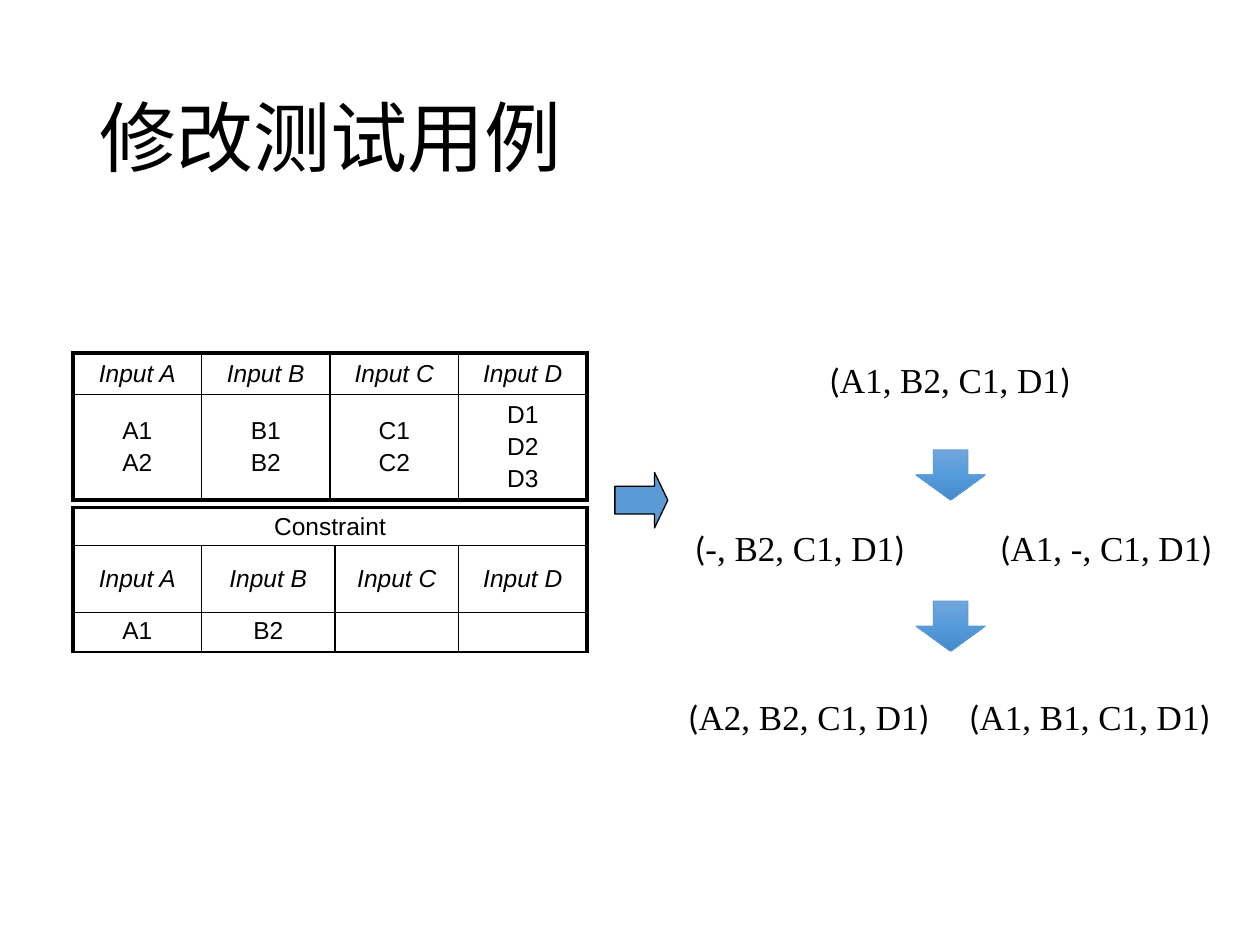
from copy import deepcopy
from dataclasses import dataclass

from lxml import etree
from pptx import Presentation
from pptx import util as u
from pptx.dml.color import RGBColor
from pptx.enum import shapes, text
from pptx.oxml import ns


@dataclass(frozen=True)
class Theme:
    black: str = "000000"
    blue: str = "5B9BD5"
    gradient: tuple = ("71A6DB", "559BDB", "448ACA")
    title_font: str = "Calibri"
    table_font: str = "Arial"
    tuple_font: str = "Times New Roman"
    title_size: float = 44
    table_size: float = 14
    tuple_size: float = 20
    thick: float = 2.25
    thin: float = 1


THEME = Theme()
HEADINGS = ["Input A", "Input B", "Input C", "Input D"]


def inches(box):
    return [u.Inches(value) for value in box]


def apply(target, **values):
    for name, value in values.items():
        setattr(target, name, value)


def add_run(paragraph, words, font, size, italic=False):
    run = paragraph.add_run()
    run.text = words
    apply(run.font, name=font, size=u.Pt(size), italic=italic)
    run.font.color.rgb = RGBColor.from_string(THEME.black)


def add_title(slide, box, words):
    title = slide.shapes.title
    apply(title, **dict(zip(("left", "top", "width", "height"), inches(box))))
    apply(title.text_frame, vertical_anchor=text.MSO_ANCHOR.MIDDLE, word_wrap=True)
    paragraph = title.text_frame.paragraphs[0]
    apply(paragraph, alignment=text.PP_ALIGN.LEFT, line_spacing=0.9)
    add_run(paragraph, words, THEME.title_font, THEME.title_size)


def set_borders(cell, widths):
    properties = cell._tc.get_or_add_tcPr()
    for side in ("L", "R", "T", "B"):
        line = etree.SubElement(properties, ns.qn(f"a:ln{side}"), w=str(u.Pt(widths[side])))
        fill = etree.SubElement(line, ns.qn("a:solidFill"))
        etree.SubElement(fill, ns.qn("a:srgbClr"), val=THEME.black)


def fill_cell(cell, words, anchor):
    apply(cell, vertical_anchor=anchor,
          margin_left=u.Inches(0.1), margin_right=u.Inches(0.1),
          margin_top=u.Inches(0.04), margin_bottom=u.Inches(0.04))
    cell.fill.background()
    for index, line in enumerate(words.split("\n")):
        frame = cell.text_frame
        paragraph = frame.add_paragraph() if index else frame.paragraphs[0]
        paragraph.alignment = text.PP_ALIGN.CENTER
        if index:
            paragraph.space_before = u.Pt(2.5)
        if line:
            add_run(paragraph, line, THEME.table_font, THEME.table_size, line in HEADINGS)
        else:
            ending = paragraph._p.get_or_add_endParaRPr()
            ending.set("sz", str(int(THEME.table_size * 100)))


def add_grid(slide, box, widths, heights, rows, bottom, merged_row=None, top_row=None):
    table = slide.shapes.add_table(len(rows), len(widths), *inches(box)).table
    apply(table, first_row=False, horz_banding=False)
    for column, width in zip(table.columns, widths):
        column.width = u.Inches(width)
    for row, height in zip(table.rows, heights):
        row.height = u.Inches(height)
    if merged_row is not None:
        table.cell(merged_row, 0).merge(table.cell(merged_row, len(widths) - 1))
    for row, words in enumerate(rows):
        anchor = text.MSO_ANCHOR.TOP if row == top_row else text.MSO_ANCHOR.MIDDLE
        for column, content in enumerate(words):
            cell = table.cell(row, column)
            span = cell.span_width if cell.is_merge_origin else 1
            set_borders(cell, {
                "L": THEME.thin if column else THEME.thick,
                "R": THEME.thick if column + span == len(widths) else THEME.thin,
                "T": THEME.thin if row else THEME.thick,
                "B": bottom if row == len(rows) - 1 else THEME.thin,
            })
            fill_cell(cell, content, anchor)


def add_arrow(slide, box, kind, line_color, line_width):
    arrow = slide.shapes.add_shape(kind, *inches(box))
    arrow.shadow.inherit = False
    arrow.line.color.rgb = RGBColor.from_string(line_color)
    arrow.line.width = u.Pt(line_width)
    return arrow


def add_right_arrow(slide, box):
    arrow = add_arrow(slide, box, shapes.MSO_SHAPE.RIGHT_ARROW, THEME.black, 0.75)
    arrow.adjustments[1] = 0.25
    arrow.fill.solid()
    arrow.fill.fore_color.rgb = RGBColor.from_string(THEME.blue)


def add_down_arrow(slide, box):
    arrow = add_arrow(slide, box, shapes.MSO_SHAPE.DOWN_ARROW, THEME.blue, 0.5)
    arrow.fill.gradient()
    arrow.fill.gradient_angle = 270
    stop_list = arrow._element.spPr.find(".//" + ns.qn("a:gsLst"))
    stop_list.append(deepcopy(stop_list[0]))
    for index, stop in enumerate(arrow.fill.gradient_stops):
        stop.position = index / 2
        stop.color.rgb = RGBColor.from_string(THEME.gradient[index])


def add_tuples(slide, box, rows):
    frame = slide.shapes.add_textbox(*inches(box)).text_frame
    frame.word_wrap = True
    for index, (tuples, centers) in enumerate(rows):
        paragraph = frame.add_paragraph() if index else frame.paragraphs[0]
        paragraph.alignment = text.PP_ALIGN.LEFT if centers else text.PP_ALIGN.CENTER
        if index:
            paragraph.space_before = u.Pt(72)
        if centers:
            tabs = etree.SubElement(paragraph._p.get_or_add_pPr(), ns.qn("a:tabLst"))
            for center in centers:
                etree.SubElement(tabs, ns.qn("a:tab"), pos=str(u.Inches(center)), algn="ctr")
        for values in tuples:
            opening = "\t(" if centers else "("
            add_run(paragraph, opening, THEME.title_font, THEME.tuple_size)
            add_run(paragraph, values, THEME.tuple_font, THEME.tuple_size)
            add_run(paragraph, ")", THEME.title_font, THEME.tuple_size)


def main():
    presentation = Presentation()
    apply(presentation, slide_width=u.Inches(10), slide_height=u.Inches(7.5))
    slide = presentation.slides.add_slide(presentation.slide_layouts[5])

    add_title(slide, (0.69, 0.4, 8.62, 1.45), "修改测试用例")
    add_grid(slide, (0.58, 2.8, 4.08, 1.17), [1.02] * 4, [0.33, 0.84],
             [HEADINGS, ["A1\nA2", "B1\nB2", "C1\nC2", "D1\nD2\nD3"]], THEME.thick)
    add_grid(slide, (0.58, 4.03, 4.08, 1.13), [1.02, 1.06, 0.98, 1.02], [0.3, 0.53, 0.3],
             [["Constraint", "", "", ""], HEADINGS, ["A1", "B2", "", ""]],
             THEME.thin, merged_row=0, top_row=2)
    add_right_arrow(slide, (4.88, 3.75, 0.42, 0.44))
    add_tuples(slide, (5.35, 2.8, 4.38, 3.13), [
        (["A1, B2, C1, D1"], []),
        (["-, B2, C1, D1", "A1, -, C1, D1"], [0.9, 3.33]),
        (["A2, B2, C1, D1", "A1, B1, C1, D1"], [0.97, 3.2]),
    ])
    for top in (3.57, 4.77):
        add_down_arrow(slide, (7.27, top, 0.55, 0.4))

    presentation.save("out.pptx")


if __name__ == "__main__":
    main()
